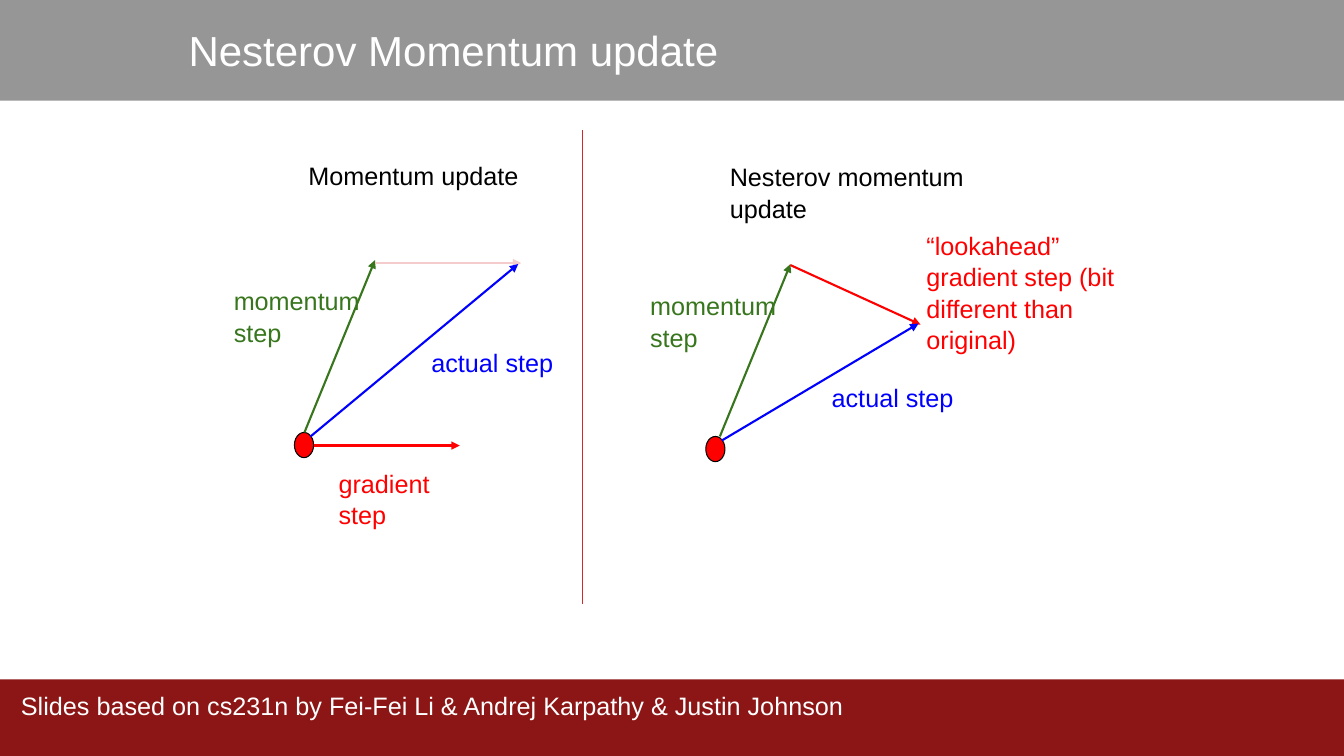
import lxml.etree
import pptx
import pptx.dml.color
import pptx.enum.shapes
import pptx.enum.text
import pptx.oxml.ns
import pptx.util

EMU_PER_PX = 9144  # 100 px to the inch
WIDTH, HEIGHT = 1333, 750
COLORS = {
    "white": "FFFFFF",
    "black": "000000",
    "header": "969696",
    "footer": "8C1515",
    "divider": "D1282E",
    "gradient": "FF0000",
    "faded": "F4CCCC",
    "momentum": "38761D",
    "actual": "0000FF",
}


def px(length):
    return pptx.util.Emu(length * EMU_PER_PX)


def rgb(name):
    return pptx.dml.color.RGBColor.from_string(COLORS[name])


class SlideBuilder:
    font = "Arial"
    body_size = 18
    title_size = 30
    line_spacing = 1.04
    inset = 10

    def __init__(self, presentation):
        self.slide = presentation.slides.add_slide(presentation.slide_layouts[5])

    def set_text(self, shape, lines, color, size):
        frame = shape.text_frame
        frame.word_wrap = True
        frame.auto_size = pptx.enum.text.MSO_AUTO_SIZE.NONE
        frame.vertical_anchor = pptx.enum.text.MSO_ANCHOR.TOP
        frame.margin_left = frame.margin_right = px(self.inset)
        frame.margin_top = frame.margin_bottom = px(self.inset)
        frame.text = "\n".join(lines)
        for paragraph in frame.paragraphs:
            paragraph.alignment = pptx.enum.text.PP_ALIGN.LEFT
            paragraph.line_spacing = self.line_spacing
            paragraph.space_before = pptx.util.Pt(0)
            paragraph.font.name = self.font
            paragraph.font.size = pptx.util.Pt(size)
            paragraph.font.color.rgb = rgb(color)

    def title(self, text, left, top, width, height):
        """Fill the title placeholder and bring it in front of the bands."""
        title = self.slide.shapes.title
        title.left, title.top = px(left), px(top)
        title.width, title.height = px(width), px(height)
        self.set_text(title, [text], "white", self.title_size)
        title.element.getparent().append(title.element)

    def label(self, lines, color, left, top, width, height=50):
        box = self.slide.shapes.add_textbox(px(left), px(top), px(width), px(height))
        self.set_text(box, lines, color, self.body_size)

    def shape(self, kind, fill, left, top, width, height, outline=None):
        shape = self.slide.shapes.add_shape(
            kind, px(left), px(top), px(width), px(height))
        shape.shadow.inherit = False
        shape.fill.solid()
        shape.fill.fore_color.rgb = rgb(fill)
        if outline:
            shape.line.color.rgb = rgb(outline)
            shape.line.width = pptx.util.Pt(0.75)
        else:
            shape.line.fill.background()

    def band(self, fill, top, height):
        self.shape(pptx.enum.shapes.MSO_SHAPE.RECTANGLE, fill, 0, top, WIDTH, height)

    def start_point(self, left, top):
        self.shape(pptx.enum.shapes.MSO_SHAPE.OVAL, "gradient", left, top, 19, 25, "black")

    def line(self, color, start, end, weight=0.75):
        connector = self.slide.shapes.add_connector(
            pptx.enum.shapes.MSO_CONNECTOR.STRAIGHT, *map(px, start + end))
        connector.line.color.rgb = rgb(color)
        connector.line.width = pptx.util.Pt(weight)
        lxml.etree.SubElement(connector.element.spPr, pptx.oxml.ns.qn("a:effectLst"))
        return connector

    def arrow(self, color, start, end):
        connector = self.line(color, start, end, 1.5)
        outline = connector.element.spPr.find(pptx.oxml.ns.qn("a:ln"))
        lxml.etree.SubElement(outline, pptx.oxml.ns.qn("a:tailEnd"), type="triangle")


def main():
    presentation = pptx.Presentation()
    presentation.slide_width, presentation.slide_height = px(WIDTH), px(HEIGHT)
    builder = SlideBuilder(presentation)

    builder.band("header", 0, 100)
    builder.band("footer", 674, 76)
    builder.label(
        ["Slides based on cs231n by Fei-Fei Li & Andrej Karpathy & Justin Johnson"],
        "white", 11, 674, 1306, 76)
    builder.title("Nesterov Momentum update", 177, 12, 615, 54)

    # Momentum update
    builder.start_point(292, 429)
    builder.arrow("gradient", (311, 442), (456, 442))
    builder.label(["gradient", "step"], "gradient", 326, 453, 130)
    builder.arrow("momentum", (302, 429), (372, 258))
    builder.label(["momentum", "step"], "momentum", 222, 272, 159)
    builder.arrow("faded", (372, 261), (517, 261))
    builder.arrow("actual", (308, 433), (514, 262))
    builder.label(["actual step"], "actual", 418, 333, 159)

    # Nesterov momentum update
    builder.start_point(700, 433)
    builder.arrow("momentum", (714, 433), (784, 262))
    builder.label(["momentum", "step"], "momentum", 635, 277, 159)
    builder.arrow("gradient", (784, 263), (913, 322))
    builder.label(["“lookahead” gradient step (bit different than original)"],
                  "gradient", 909, 217, 231)
    builder.arrow("actual", (716, 437), (911, 321))
    builder.label(["actual step"], "actual", 815, 368, 159)

    builder.label(["Momentum update"], "black", 296, 148, 265, 29)
    builder.label(["Nesterov momentum update"], "black", 714, 149, 296, 29)
    builder.line("divider", (578, 129), (578, 599))

    presentation.save("out.pptx")


if __name__ == "__main__":
    main()
